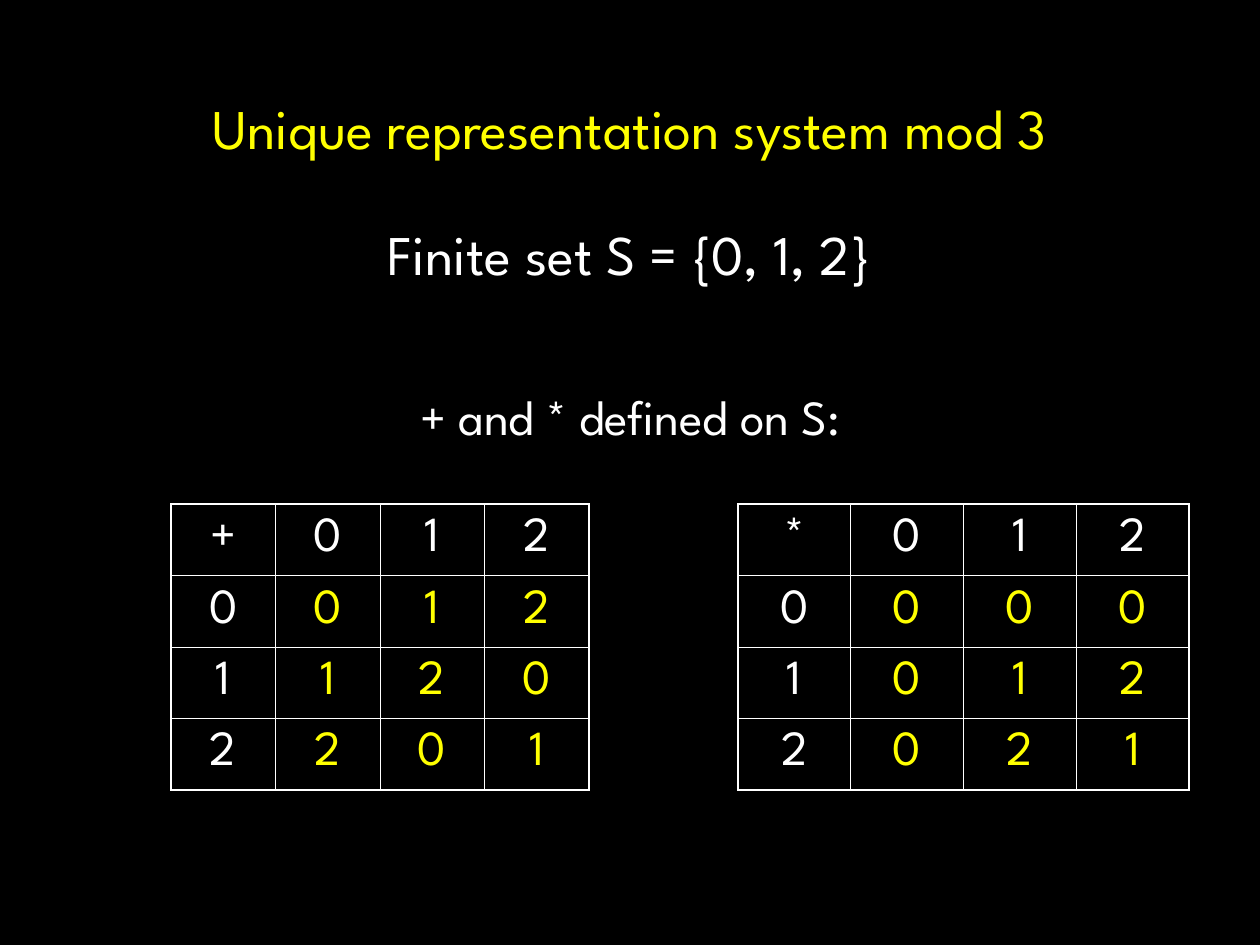
from dataclasses import dataclass

from lxml.etree import SubElement as Sub
from pptx import Presentation
from pptx.dml.color import RGBColor as RGB
from pptx.enum.text import MSO_ANCHOR as Anchor, MSO_AUTO_SIZE as Auto, PP_ALIGN as Align
from pptx.oxml.ns import qn
from pptx.util import Pt


@dataclass(frozen=True)
class Theme:
    font: str = "League Spartan"
    back: str = "000000"
    text: str = "FFFFFF"
    mark: str = "FFFF00"
    big: int = 32
    small: int = 28
    thin: float = 0.45
    thick: float = 1.08


THEME = Theme()
MOD = 3


def px(n):
    return round(n * 914400 / 126)


def write(para, text, size=THEME.small, color=THEME.text, before=0, line=1.0):
    para.alignment = Align.CENTER
    para.space_before, para.line_spacing = Pt(before), line
    run = para.add_run()
    run.text = text
    run.font.name, run.font.size = THEME.font, Pt(size)
    run.font.color.rgb = RGB.from_string(color)


deck = Presentation()
deck.slide_width, deck.slide_height = px(1260), px(945)
slide = deck.slides.add_slide(deck.slide_layouts[1])
slide.background.fill.solid()
slide.background.fill.fore_color.rgb = RGB.from_string(THEME.back)

# Heading and statements
title, body = slide.shapes.title, slide.placeholders[1]
for box, top, high in ((title, 87, 79), (body, 221, 233)):
    box.left, box.top, box.width, box.height = px(92), px(top), px(1076), px(high)
    frame = box.text_frame
    frame.word_wrap, frame.auto_size = True, Auto.NONE
    frame.vertical_anchor = Anchor.TOP

write(title.text_frame.paragraphs[0], "Unique representation system mod 3",
      size=THEME.big, color=THEME.mark)
first = body.text_frame.paragraphs[0]
last = body.text_frame.add_paragraph()
write(first, "Finite set S = {0, 1, 2}", size=THEME.big, line=0.9)
write(last, "+ and * defined on S:", before=60, line=0.9)
for para in (first, last):
    props = para._p.get_or_add_pPr()
    props.set("marL", "0")
    props.set("indent", "0")
    Sub(props, qn("a:buNone"))

# Addition and multiplication tables
count = MOD + 1
for sign, left, wide in (("+", 171, 418), ("*", 738, 451)):
    grid = slide.shapes.add_table(count, count, px(left), px(504), px(wide), px(286)).table
    grid.first_row = grid.horz_banding = False
    for row in range(count):
        for col in range(count):
            a, b = row - 1, col - 1
            inner = row > 0 and col > 0
            if inner:
                value = (a + b if sign == "+" else a * b) % MOD
            else:
                value = sign if row == col else max(a, b)

            cell = grid.cell(row, col)
            cell.vertical_anchor = Anchor.MIDDLE
            cell.margin_left = cell.margin_right = px(38)
            cell.margin_top = cell.margin_bottom = px(6)
            write(cell.text_frame.paragraphs[0], str(value), before=7,
                  color=THEME.mark if inner else THEME.text)

            edges = {"L": col == 0, "R": col == MOD, "T": row == 0, "B": row == MOD}
            for side, outer in edges.items():
                width = Pt(THEME.thick if outer else THEME.thin)
                line = Sub(cell._tc.get_or_add_tcPr(), qn(f"a:ln{side}"), w=str(width))
                Sub(Sub(line, qn("a:solidFill")), qn("a:srgbClr"), val=THEME.text)
            cell.fill.solid()
            cell.fill.fore_color.rgb = RGB.from_string(THEME.back)

deck.save("out.pptx")
